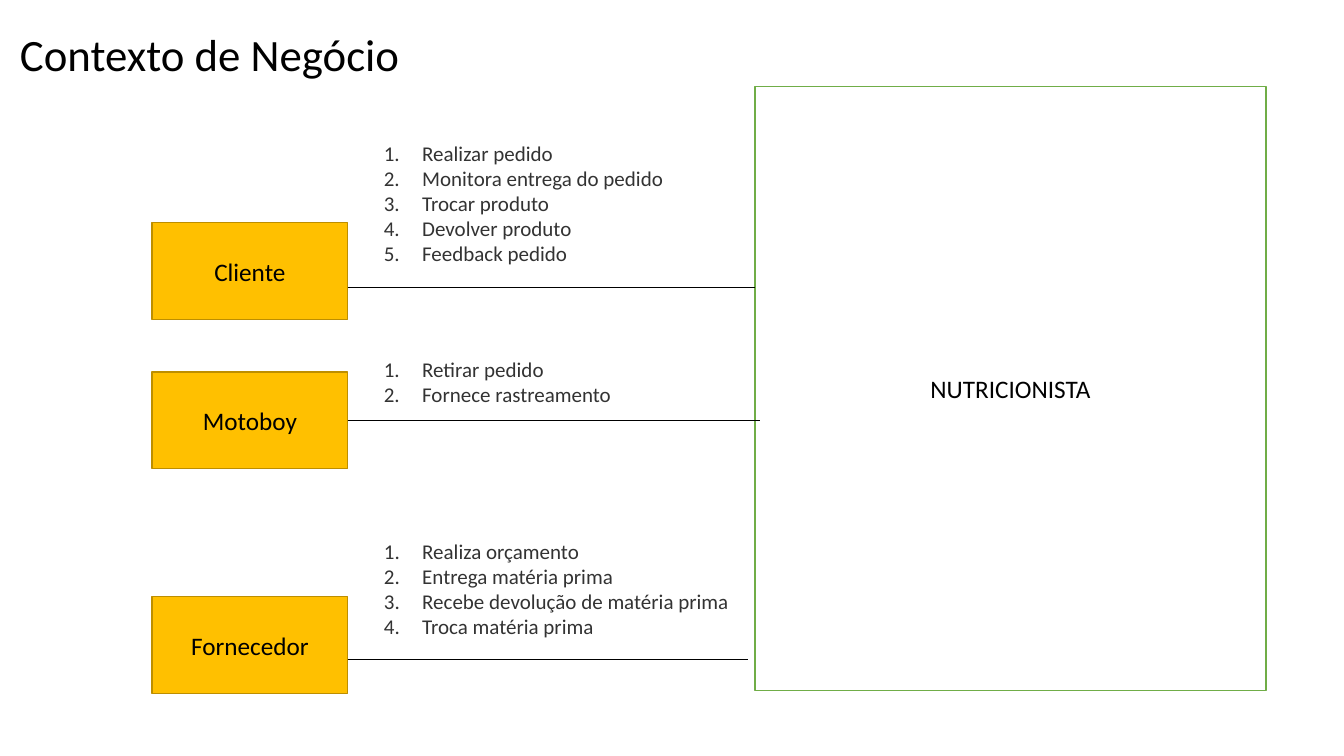
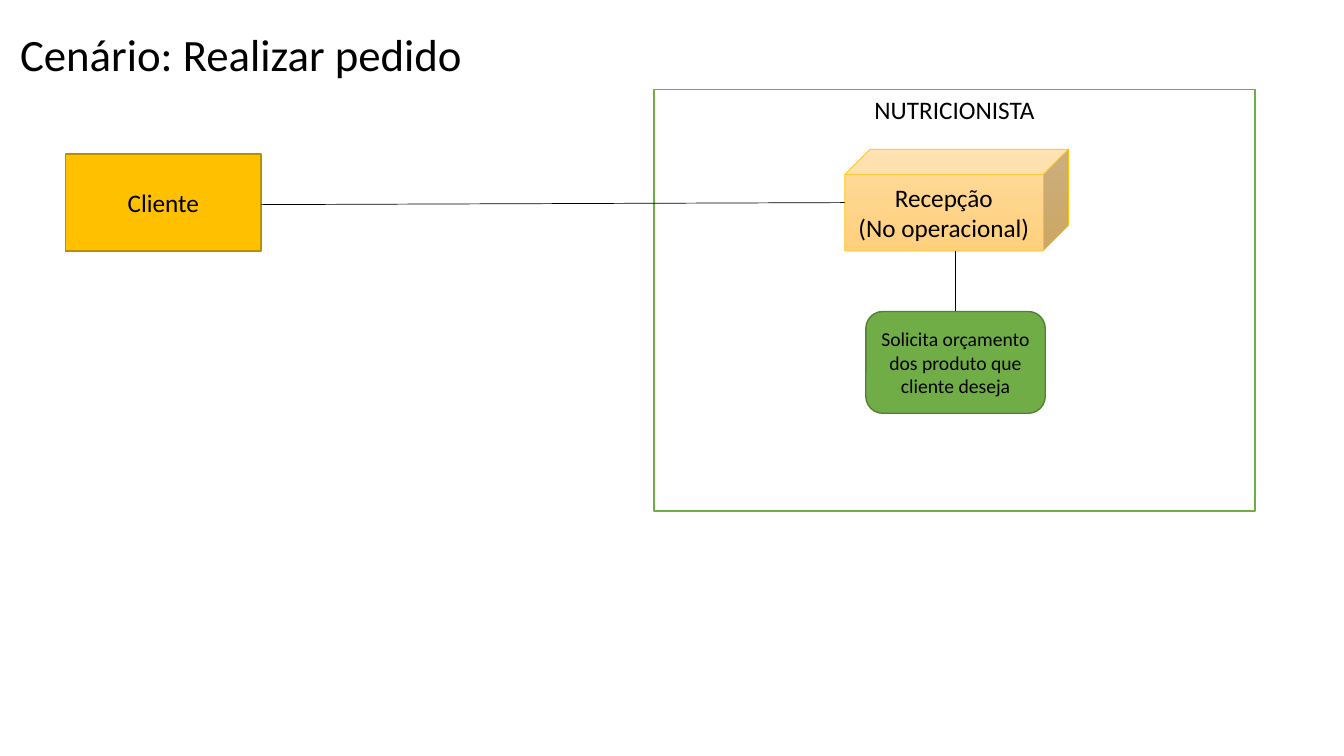
import collections

import pptx
import pptx.dml.color
import pptx.enum.shapes
import pptx.enum.text
import pptx.oxml
import pptx.oxml.ns
import pptx.util

# Shared style
RGBColor = pptx.dml.color.RGBColor
BLACK = RGBColor(0x00, 0x00, 0x00)
WHITE = RGBColor(0xFF, 0xFF, 0xFF)
GREY = RGBColor(0x33, 0x33, 0x33)
AMBER = RGBColor(0xFF, 0xC0, 0x00)
AMBER_EDGE = RGBColor(0xBD, 0x8E, 0x00)
PEACH_LIGHT = RGBColor(0xFF, 0xDB, 0x9E)
PEACH_DARK = RGBColor(0xFF, 0xD0, 0x7C)
GREEN = RGBColor(0x70, 0xAD, 0x47)
GREEN_EDGE = RGBColor(0x53, 0x80, 0x35)
FONT = "Calibri"

SHAPE = pptx.enum.shapes.MSO_SHAPE
ALIGN = pptx.enum.text.PP_ALIGN
ANCHOR = pptx.enum.text.MSO_ANCHOR

# Grid: 40 columns by 30 rows
deck = pptx.Presentation()
deck.slide_width = pptx.util.Inches(13.33)
deck.slide_height = pptx.util.Inches(7.5)
COLUMN = deck.slide_width / 40
ROW = deck.slide_height / 30
ACTOR_WIDTH, ACTOR_HEIGHT = 5.82, 3.84
LIST_GAP = 0.78
NUMBER_INDENT = pptx.util.Inches(0.38)

Box = collections.namedtuple("Box", "left top width height")


def to_slide(box):
    return (round(box.left * COLUMN), round(box.top * ROW),
            round(box.width * COLUMN), round(box.height * ROW))


def write(frame, text, size, color, align):
    frame.word_wrap = True
    frame.text = text
    for para in frame.paragraphs:
        para.alignment = align
        for span in para.runs:
            span.font.name = FONT
            span.font.size = pptx.util.Pt(size)
            span.font.color.rgb = color


def add_text(page, box, text, size, color, align=ALIGN.LEFT):
    frame = page.shapes.add_textbox(*to_slide(box)).text_frame
    write(frame, text, size, color, align)
    frame.auto_size = pptx.enum.text.MSO_AUTO_SIZE.SHAPE_TO_FIT_TEXT
    return frame


def add_block(page, box, text, fill, edge, kind=SHAPE.RECTANGLE,
              size=18, anchor=ANCHOR.MIDDLE, edge_width=1):
    block = page.shapes.add_shape(kind, *to_slide(box))
    block.shadow.inherit = False
    block.fill.solid()
    block.fill.fore_color.rgb = fill
    block.line.color.rgb = edge
    block.line.width = pptx.util.Pt(edge_width)
    write(block.text_frame, text, size, BLACK, ALIGN.CENTER)
    block.text_frame.vertical_anchor = anchor
    return block


def add_link(page, x1, y1, x2, y2):
    link = page.shapes.add_connector(
        pptx.enum.shapes.MSO_CONNECTOR.STRAIGHT,
        round(x1 * COLUMN), round(y1 * ROW), round(x2 * COLUMN), round(y2 * ROW))
    link.line.color.rgb = BLACK
    link.line.width = pptx.util.Pt(0.5)
    pptx.oxml.ns.qn("a:effectLst")
    link.element.spPr.append(pptx.oxml.parse_xml(
        "<a:effectLst %s/>" % pptx.oxml.ns.nsdecls("a")))


def add_page(title, title_width):
    page = deck.slides.add_slide(deck.slide_layouts[6])
    add_text(page, Box(0.3, 0.88, title_width, 2.56), title, 32, BLACK)
    return page


def add_actor(page, left, top, name):
    box = Box(left, top, ACTOR_WIDTH, ACTOR_HEIGHT)
    add_block(page, box, name, AMBER, AMBER_EDGE)
    return box


def add_system(page, box, anchor):
    add_block(page, box, "NUTRICIONISTA", WHITE, GREEN, anchor=anchor)


def add_numbered(page, box, items, align):
    frame = add_text(page, box, "\n".join(items), 15, GREY, align)
    for para in frame.paragraphs:
        props = para._p.get_or_add_pPr()
        props.set("marL", str(NUMBER_INDENT))
        props.set("indent", str(-NUMBER_INDENT))
        props.append(pptx.oxml.parse_xml(
            '<a:buAutoNum %s type="arabicPeriod"/>' % pptx.oxml.ns.nsdecls("a")))


def add_exchange(page, actor, items, list_top, list_width, link_y, link_end,
                 align=ALIGN.LEFT):
    """Numbered requests above the line from an actor to the system."""
    right = actor.left + actor.width
    add_link(page, right, link_y, link_end, link_y)
    # One row for each item plus the text margins
    box = Box(right + LIST_GAP, list_top, list_width, len(items) + 0.44)
    add_numbered(page, box, items, align)


def build_context():
    page = add_page("Contexto de Negócio", 12.06)
    system = Box(22.47, 3.44, 15.21, 23.96)
    add_system(page, system, ANCHOR.MIDDLE)
    exchanges = [
        ("Cliente", 8.84, 5.36, 10.17, 11.4, system.left, ALIGN.LEFT,
         ["Realizar pedido", "Monitora entrega do pedido", "Trocar produto",
          "Devolver produto", "Feedback pedido"]),
        ("Motoboy", 14.76, 13.96, 9.21, 16.68, 22.62, ALIGN.LEFT,
         ["Retirar pedido", "Fornece rastreamento"]),
        ("Fornecedor", 23.68, 21.16, 12.81, 26.16, 22.26, ALIGN.JUSTIFY,
         ["Realiza orçamento", "Entrega matéria prima",
          "Recebe devolução de matéria prima", "Troca matéria prima"]),
    ]
    for name, top, list_top, list_width, link_y, link_end, align, items in exchanges:
        actor = add_actor(page, 4.53, top, name)
        add_exchange(page, actor, items, list_top, list_width, link_y, link_end, align)


def build_scenario():
    page = add_page("Cenário: Realizar pedido", 13.98)
    add_system(page, Box(19.47, 3.56, 17.88, 16.72), ANCHOR.TOP)
    client = add_actor(page, 1.95, 6.12, "Cliente")

    # Reception node
    node = Box(25.14, 5.92, 6.66, 4.04)
    reception = add_block(page, node, "Recepção\n(No operacional)", PEACH_LIGHT,
                          AMBER, kind=SHAPE.CUBE, edge_width=0.5)
    reception.fill.gradient()
    reception.fill.gradient_angle = 270
    for stop, color in zip(reception.fill.gradient_stops, (PEACH_LIGHT, PEACH_DARK)):
        stop.color.rgb = color

    # Task below the node
    task = Box(25.77, 12.36, 5.34, 4.04)
    add_block(page, task, "Solicita orçamento dos produto que cliente deseja",
              GREEN, GREEN_EDGE, kind=SHAPE.ROUNDED_RECTANGLE, size=14)

    add_link(page, client.left + client.width, 8.12, node.left, 8.04)
    middle = task.left + task.width / 2
    add_link(page, middle, task.top, middle, node.top + node.height)


build_context()
build_scenario()
deck.save("out.pptx")
